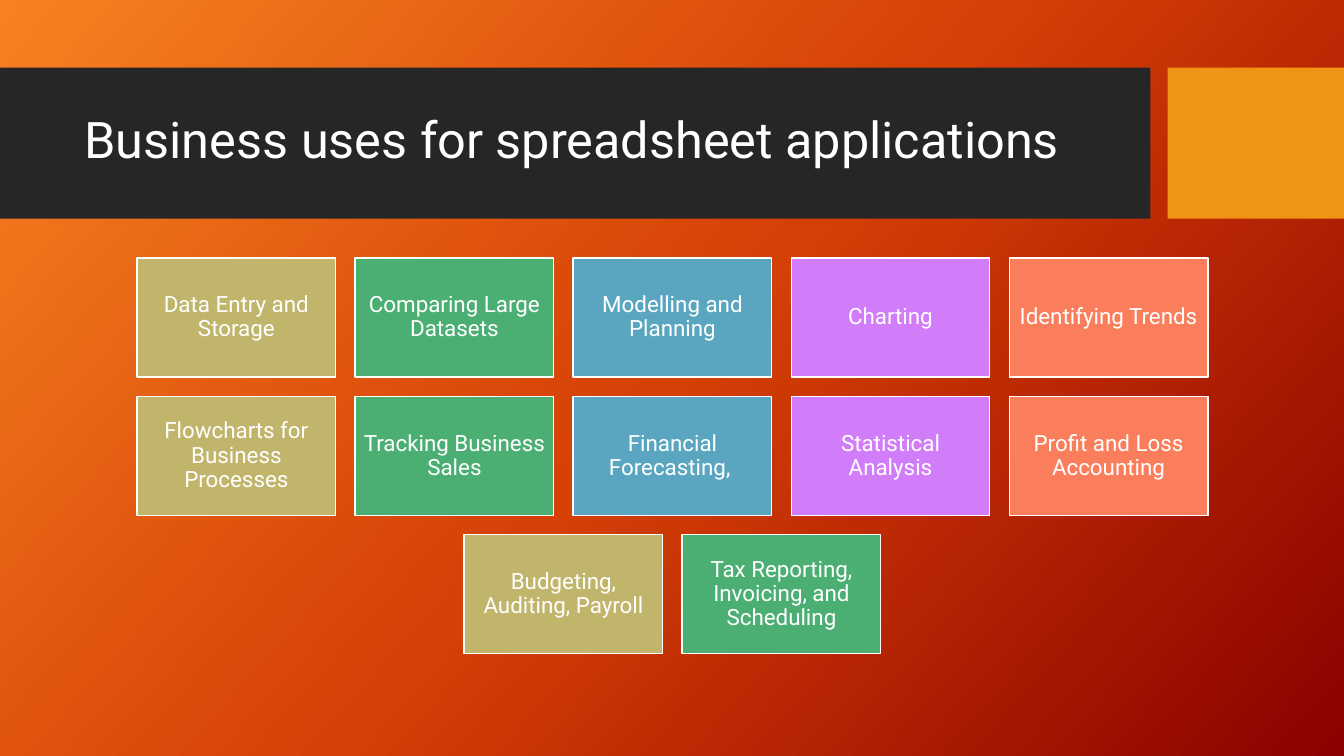
from copy import deepcopy

from pptx import Presentation
from pptx.dml.color import RGBColor
from pptx.enum.shapes import MSO_SHAPE
from pptx.enum.text import MSO_ANCHOR, PP_ALIGN
from pptx.oxml.ns import qn
from pptx.util import Inches, Pt

FONT = "Roboto"
WHITE = RGBColor(0xFF, 0xFF, 0xFF)
CHARCOAL = RGBColor(0x26, 0x26, 0x26)
AMBER = RGBColor(0xF0, 0x94, 0x15)
BACKDROP = [
    (0, RGBColor(0xF7, 0x81, 0x21)),
    (0.5, RGBColor(0xD5, 0x40, 0x06)),
    (1, RGBColor(0x8C, 0x00, 0x00)),
]
COLUMN_COLORS = [
    RGBColor(0xC1, 0xB5, 0x6B),
    RGBColor(0x4B, 0xAF, 0x73),
    RGBColor(0x5A, 0xA6, 0xC0),
    RGBColor(0xD1, 0x7D, 0xF9),
    RGBColor(0xFA, 0x7E, 0x5C),
]

TITLE = "Business uses for spreadsheet applications"
USES = [
    "Data Entry and Storage",
    "Comparing Large Datasets",
    "Modelling and Planning",
    "Charting",
    "Identifying Trends",
    "Flowcharts for Business Processes",
    "Tracking Business Sales",
    "Financial Forecasting, ",
    "Statistical Analysis",
    "Profit and Loss Accounting",
    "Budgeting, Auditing, Payroll",
    "Tax Reporting, Invoicing, and Scheduling",
]


def paint_background(s):
    fill = s.background.fill
    fill.gradient()
    fill.gradient_angle = 360 - 42
    stop_list = s.element.find(".//" + qn("a:gsLst"))
    stop_list.append(deepcopy(stop_list[-1]))
    for stop, (position, color) in zip(fill.gradient_stops, BACKDROP):
        stop.position = position
        stop.color.rgb = color


def add_rect(s, x, y, w, h, color):
    sp = s.shapes.add_shape(
        MSO_SHAPE.RECTANGLE, Inches(x), Inches(y), Inches(w), Inches(h))
    sp.shadow.inherit = False
    sp.fill.solid()
    sp.fill.fore_color.rgb = color
    sp.line.fill.background()
    return sp


def set_text(sp, text, size, align, inset_x, inset_y):
    tf = sp.text_frame
    tf.word_wrap = True
    tf.vertical_anchor = MSO_ANCHOR.MIDDLE
    tf.margin_left = tf.margin_right = Inches(inset_x)
    tf.margin_top = tf.margin_bottom = Inches(inset_y)
    p = tf.paragraphs[0]
    p.text = text
    p.alignment = align
    p.line_spacing = 0.9
    p.font.name = FONT
    p.font.size = Pt(size)
    p.font.color.rgb = WHITE


def add_title_band(s, x, y, w, h):
    accent_w, gap = 1.75, 0.17
    add_rect(s, x, y, w - accent_w - gap, h, CHARCOAL)
    add_rect(s, x + w - accent_w, y, accent_w, h, AMBER)
    title = s.shapes.add_textbox(
        Inches(x + 0.74), Inches(y + 0.15), Inches(10.51), Inches(1.18))
    set_text(title, TITLE, 36, PP_ALIGN.LEFT, 0.1, 0.05)


def add_use_grid(s, x, y, w):
    card_w, card_h = 1.97, 1.18
    columns = len(COLUMN_COLORS)
    gap = (w - columns * card_w) / (columns - 1)
    for start in range(0, len(USES), columns):
        row = USES[start:start + columns]
        row_w = len(row) * (card_w + gap) - gap
        left = x + (w - row_w) / 2
        top = y + start // columns * (card_h + gap)
        for i, (use, color) in enumerate(zip(row, COLUMN_COLORS)):
            card = add_rect(s, left + i * (card_w + gap), top, card_w, card_h, color)
            card.line.color.rgb = WHITE
            card.line.width = Pt(1)
            set_text(card, use, 16, PP_ALIGN.CENTER, 0.07, 0.07)


def main():
    prs = Presentation()
    prs.slide_width = Inches(13.33)
    prs.slide_height = Inches(7.5)
    s = prs.slides.add_slide(prs.slide_layouts[6])
    paint_background(s)
    add_title_band(s, 0, 0.67, 13.33, 1.5)
    add_use_grid(s, 1.36, 2.56, 10.62)
    prs.save("out.pptx")


if __name__ == "__main__":
    main()
